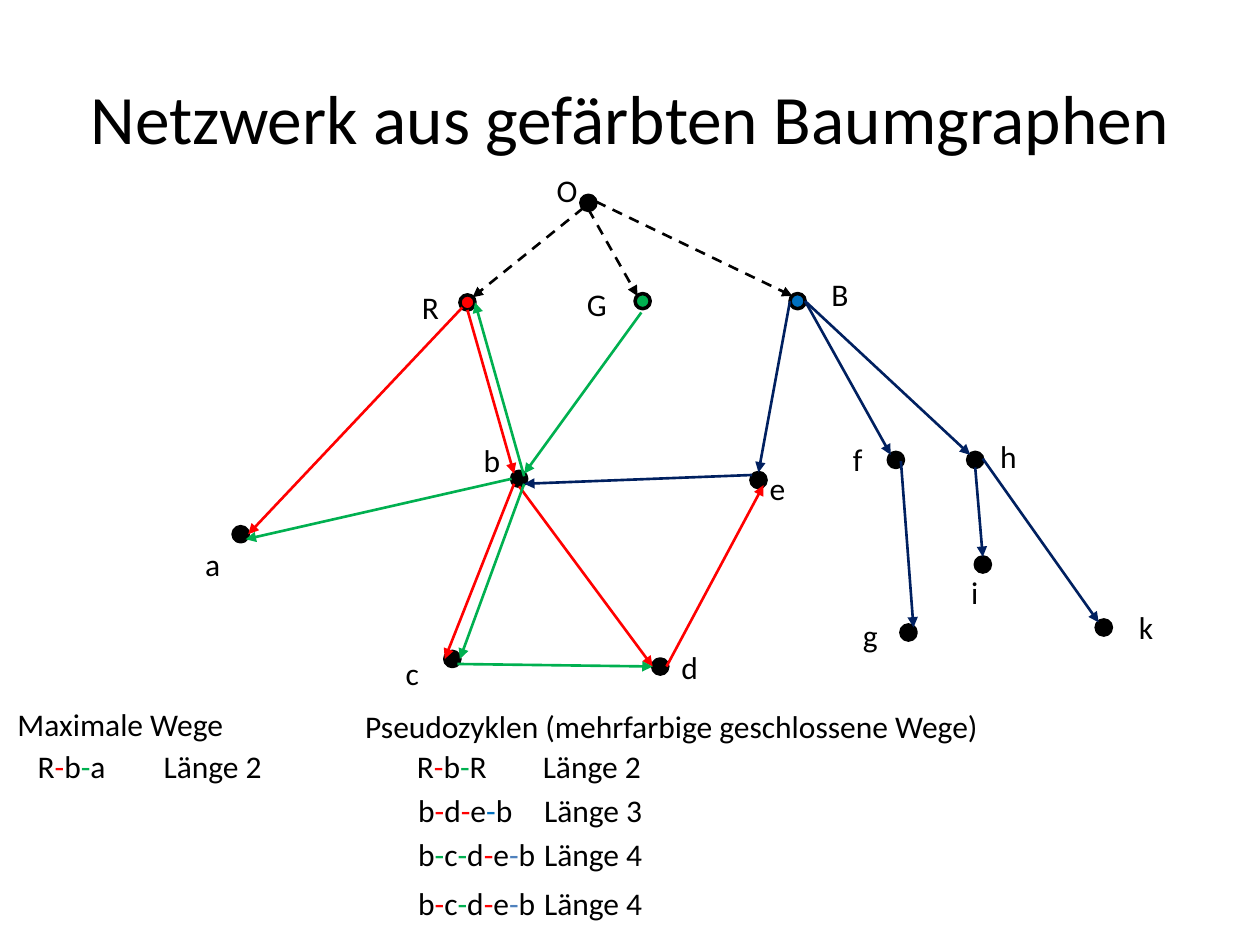
from lxml import etree
from pptx import Presentation
from pptx.dml.color import RGBColor
from pptx.enum.dml import MSO_LINE
from pptx.enum.shapes import MSO_CONNECTOR, MSO_SHAPE
from pptx.enum.text import MSO_ANCHOR, MSO_AUTO_SIZE, PP_ALIGN
from pptx.oxml.ns import qn
from pptx.util import Pt

OVAL = MSO_SHAPE.OVAL
LINE = MSO_CONNECTOR.STRAIGHT
DASH = MSO_LINE.DASH
MIDDLE = MSO_ANCHOR.MIDDLE
CENTER = PP_ALIGN.CENTER
FIT = MSO_AUTO_SIZE.SHAPE_TO_FIT_TEXT

PX = 9144
DOT = 12
HIGH = 40
FONT = "Calibri"

BLACK = RGBColor(0x00, 0x00, 0x00)
RED = RGBColor(0xFF, 0x00, 0x00)
GREEN = RGBColor(0x00, 0xB0, 0x50)
BLUE = RGBColor(0x00, 0x70, 0xC0)
NAVY = RGBColor(0x00, 0x20, 0x60)
STEEL = RGBColor(0x4F, 0x81, 0xBD)

NODES = [
    (365, 234, RED), (185, 418, BLACK), (461, 155, BLACK), (627, 233, BLUE),
    (406, 374, BLACK), (353, 517, BLACK), (504, 233, GREEN),
    (705, 359, BLACK), (715, 496, BLACK), (596, 375, BLACK),
    (518, 523, BLACK), (768, 359, BLACK), (870, 492, BLACK),
    (774, 442, BLACK),
]

EDGES = {
    RED: [
        (367, 244, 197, 424), (371, 246, 408, 376), (408, 384, 353, 523),
        (412, 386, 518, 529), (529, 529, 606, 385),
    ],
    GREEN: [
        (406, 380, 195, 428), (416, 384, 365, 523), (509, 248, 416, 376),
        (416, 378, 377, 240), (363, 527, 518, 529),
    ],
    NAVY: [
        (627, 239, 602, 375), (715, 366, 725, 498), (639, 239, 707, 361),
        (597, 377, 416, 384), (639, 239, 770, 361), (780, 364, 872, 494),
        (774, 371, 780, 442),
    ],
    BLACK: [
        (463, 165, 375, 236), (467, 166, 506, 235), (473, 160, 629, 235),
    ],
}

LABELS = [
    ("O", 432, 131, 37), ("R", 325, 224, 34), ("G", 456, 221, 36),
    ("B", 650, 213, 34), ("a", 153, 428, 32), ("b", 374, 345, 34),
    ("c", 312, 514, 31), ("d", 531, 509, 34), ("e", 601, 367, 33),
    ("f", 667, 344, 28), ("g", 675, 484, 32), ("h", 784, 342, 34),
    ("i", 761, 450, 26), ("k", 894, 478, 32),
    ("Maximale Wege", 4, 555, 191),
    ("Pseudozyklen (mehrfarbige geschlossene Wege)", 280, 556, 512),
]

WAYS = [
    ("R-b-a \tLänge 2", 20, 588, (RED, GREEN)),
    ("R-b-R\tLänge 2", 321, 588, (RED, GREEN)),
    ("b-d-e-b\tLänge 3", 322, 623, (RED, RED, BLUE)),
    ("b-c-d-e-b\tLänge 4", 322, 658, (GREEN, GREEN, RED, STEEL)),
    ("b-c-d-e-b \tLänge 4", 322, 697, (RED, GREEN, RED, STEEL)),
]


def add_node(slide, x, y, color):
    """Draw one network node."""
    dot = slide.shapes.add_shape(OVAL, x * PX, y * PX, DOT * PX, DOT * PX)
    dot.shadow.inherit = False
    dot.fill.solid()
    dot.fill.fore_color.rgb = color
    dot.line.color.rgb = BLACK
    dot.line.width = Pt(2)


def add_edge(slide, ends, color):
    """Draw one arrow, dashed if it is black."""
    edge = slide.shapes.add_connector(LINE, *(n * PX for n in ends))
    edge.line.color.rgb = color
    edge.line.width = Pt(1.5)
    if color == BLACK:
        edge.line.dash_style = DASH
    props = edge.line._get_or_add_ln()
    etree.SubElement(props, qn("a:tailEnd"), type="triangle")
    etree.SubElement(edge._element.spPr, qn("a:effectLst"))


def add_box(slide, x, y, wide, high, size):
    """Add an empty text box and return its frame and paragraph."""
    box = slide.shapes.add_textbox(x * PX, y * PX, wide * PX, high * PX)
    frame = box.text_frame
    para = frame.paragraphs[0]
    para.font.name = FONT
    para.font.size = Pt(size)
    return frame, para


def add_run(para, text, color):
    """Append a coloured run."""
    run = para.add_run()
    run.text = text
    run.font.color.rgb = color


def add_title(slide, text):
    """Write the centred heading."""
    frame, para = add_box(slide, 50, 30, 900, 125, 39.6)
    frame.word_wrap = True
    frame.vertical_anchor = MIDDLE
    para.alignment = CENTER
    add_run(para, text, BLACK)


def add_text(slide, text, x, y, wide=200, hues=()):
    """Write one line, its hyphens taking the given hues."""
    frame, para = add_box(slide, x, y, wide, HIGH, 18)
    frame.word_wrap = False
    frame.auto_size = FIT
    first, *rest = text.split("-")
    add_run(para, first, BLACK)
    for part, hue in zip(rest, hues):
        add_run(para, "-", hue)
        add_run(para, part, BLACK)


def main():
    """Build the slide and save it."""
    deck = Presentation()
    deck.slide_width = 1000 * PX
    deck.slide_height = 750 * PX
    slide = deck.slides.add_slide(deck.slide_layouts[6])
    for node in NODES:
        add_node(slide, *node)
    for color, group in EDGES.items():
        for ends in group:
            add_edge(slide, ends, color)
    add_title(slide, "Netzwerk aus gefärbten Baumgraphen")
    for label in LABELS:
        add_text(slide, *label)
    for text, x, y, hues in WAYS:
        add_text(slide, text, x, y, hues=hues)
    deck.save("out.pptx")


if __name__ == "__main__":
    main()
